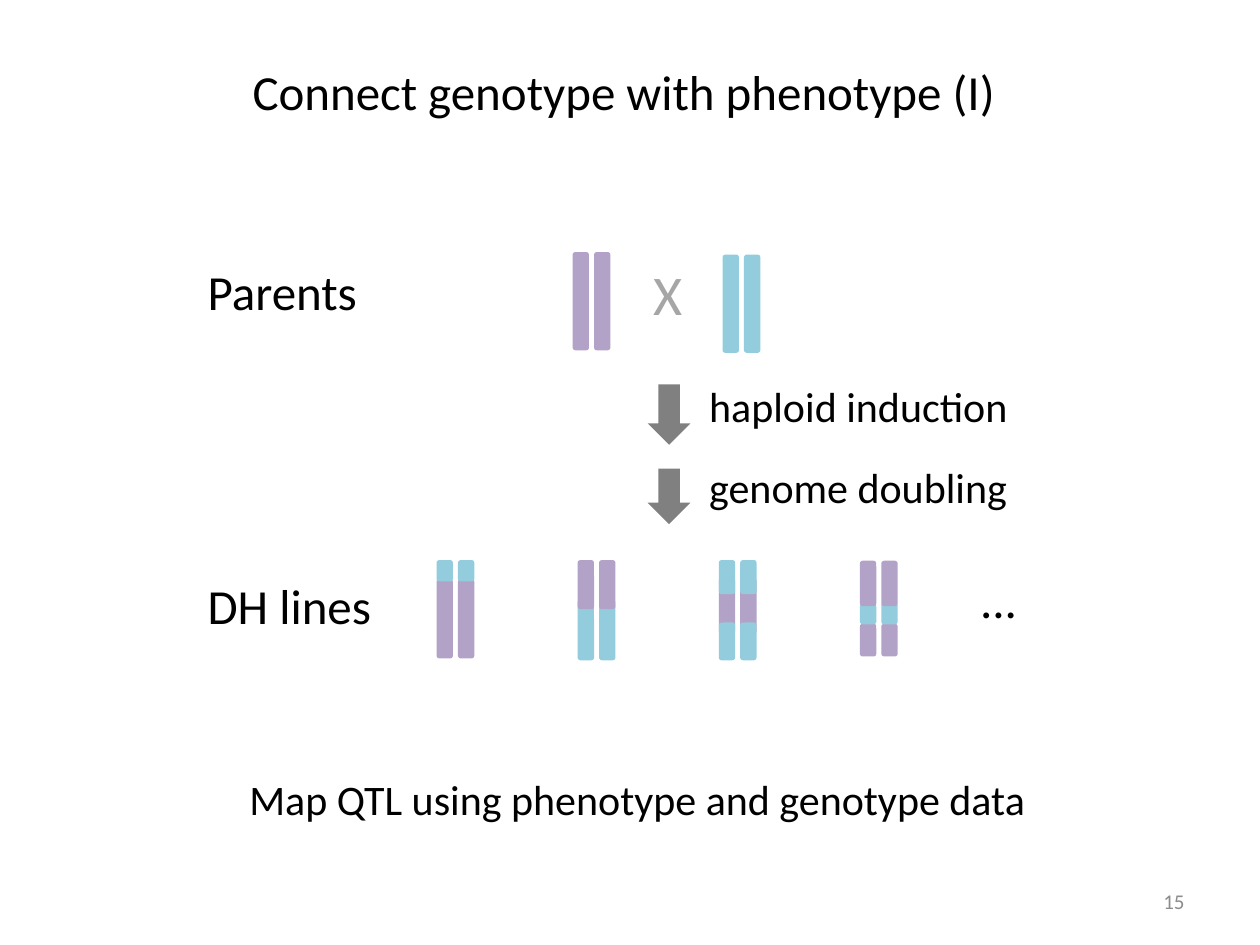
from pptx import Presentation
from pptx.dml.color import RGBColor
from pptx.enum.shapes import MSO_SHAPE
from pptx.enum.text import MSO_ANCHOR, MSO_AUTO_SIZE, PP_ALIGN
from pptx.util import Inches, Pt

PURPLE, BLUE, GRAY = "B3A2C7", "93CDDD", "808080"
CHROMATID_WIDTH, CHROMATID_GAP = 0.13, 0.17
DH_LEFT, DH_STEP = 3.53, 1.12

# Chromosome segments, back to front: colour, vertical centre, length
PARENTS = [
    (4.61, [(PURPLE, 2.39, 0.78)]),
    (5.80, [(BLUE, 2.41, 0.78)]),
]
DH_LINES = [
    [(PURPLE, 4.91, 0.63), (BLUE, 4.53, 0.17)],
    [(BLUE, 5.0, 0.48), (PURPLE, 4.64, 0.39)],
    [(PURPLE, 4.81, 0.44), (BLUE, 4.58, 0.27), (BLUE, 5.09, 0.3)],
    [(PURPLE, 5.08, 0.26), (BLUE, 4.87, 0.17), (PURPLE, 4.63, 0.36)],
]
ARROWS = [(5.14, 3.05, 0.34, 0.48), (5.14, 3.72, 0.34, 0.44)]

# Fixed-size text: text, box, size, colour, alignment
FRAMED_TEXTS = [
    ("Connect genotype with phenotype (I)", (0.45, 0.3, 9, 0.85), 28, "000000", PP_ALIGN.CENTER),
    ("15", (7.17, 6.95, 2.33, 0.4), 12, "8C8C8C", PP_ALIGN.RIGHT),
]
# Labels that fit their text: text, box, size, colour
LABELS = [
    ("X", (5.09, 2.01, 0.43, 0.64), 32, "A6A6A6"),
    ("Parents", (1.55, 2.03, 1.42, 0.57), 28, "000000"),
    ("DH lines", (1.55, 4.52, 1.51, 0.57), 28, "000000"),
    ("...", (7.68, 4.47, 0.5, 0.57), 28, "000000"),
    ("Map QTL using phenotype and genotype data", (1.88, 6.09, 6.42, 0.5), 24, "000000"),
]
STEPS = ["haploid induction", "genome doubling"]
STEPS_BOX = (5.53, 3.05, 3.28, 1.08)


def color(value):
    return RGBColor.from_string(value)


def inches(box):
    return [Inches(value) for value in box]


def add_filled(shapes, kind, box, fill):
    shape = shapes.add_shape(kind, *inches(box))
    shape.shadow.inherit = False
    shape.fill.solid()
    shape.fill.fore_color.rgb = color(fill)
    shape.line.fill.background()
    return shape


def add_chromosome(slide, x, segments):
    """Group two identical chromatids, the first centred on x."""
    group = slide.shapes.add_group_shape()
    for center in (x, x + CHROMATID_GAP):
        for fill, middle, length in segments:
            box = (center - length / 2, middle - CHROMATID_WIDTH / 2, length, CHROMATID_WIDTH)
            segment = add_filled(group.shapes, MSO_SHAPE.ROUNDED_RECTANGLE, box, fill)
            segment.rotation = 270


def add_text(slide, lines, box, size, text_color, frame_format, paragraph_format):
    frame = slide.shapes.add_textbox(*inches(box)).text_frame
    for name, value in frame_format.items():
        setattr(frame, name, value)
    frame.text = "\n".join(lines)
    for paragraph in frame.paragraphs:
        for name, value in paragraph_format.items():
            setattr(paragraph, name, value)
        for name, value in {"name": "Calibri", "size": Pt(size)}.items():
            setattr(paragraph.font, name, value)
        paragraph.font.color.rgb = color(text_color)
    return frame


def main():
    presentation = Presentation()
    presentation.slide_width, presentation.slide_height = Inches(10), Inches(7.5)
    slide = presentation.slides.add_slide(presentation.slide_layouts[6])

    framed = {"word_wrap": True, "vertical_anchor": MSO_ANCHOR.MIDDLE}
    for text, box, size, text_color, alignment in FRAMED_TEXTS:
        add_text(slide, [text], box, size, text_color, framed, {"alignment": alignment})

    for x, segments in PARENTS:
        add_chromosome(slide, x, segments)
    for index, segments in enumerate(DH_LINES):
        add_chromosome(slide, DH_LEFT + index * DH_STEP, segments)
    for box in ARROWS:
        add_filled(slide.shapes, MSO_SHAPE.DOWN_ARROW, box, GRAY)

    fitted = {"word_wrap": False, "auto_size": MSO_AUTO_SIZE.SHAPE_TO_FIT_TEXT}
    for text, box, size, text_color in LABELS:
        add_text(slide, [text], box, size, text_color, fitted, {})
    steps = add_text(slide, STEPS, STEPS_BOX, 24, "000000",
                     {"word_wrap": True}, {"line_spacing": 0.8})
    steps.paragraphs[1].space_before = Pt(23)

    presentation.save("out.pptx")


if __name__ == "__main__":
    main()
